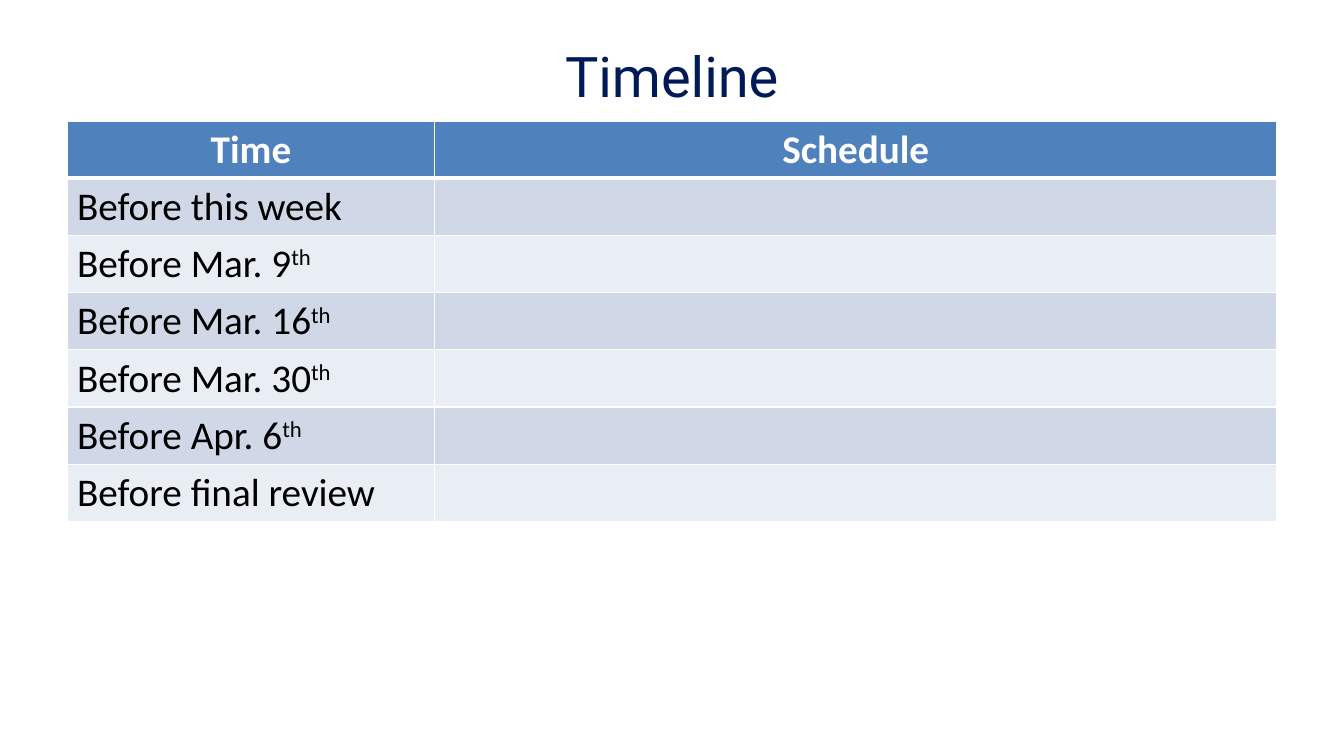
import dataclasses

import lxml.etree
import pptx
import pptx.dml.color
import pptx.enum.text
import pptx.oxml.ns
import pptx.util

Cm = pptx.util.Cm
Pt = pptx.util.Pt
Align = pptx.enum.text.PP_ALIGN
Anchor = pptx.enum.text.MSO_ANCHOR

COLORS = {
    "title": "001A57",
    "header": "4F81BD",
    "odd": "D0D8E8",
    "even": "E9EDF4",
    "white": "FFFFFF",
    "black": "000000",
}
LEFT, WIDTH = Cm(1.69), Cm(30.48)
TIME_WIDTH = Cm(9.27)
ROW_HEIGHT = Cm(1.44)


@dataclasses.dataclass(frozen=True)
class Milestone:
    time: str
    ordinal: str = ""


MILESTONES = [
    Milestone("Before this week"),
    Milestone("Before Mar. 9", "th"),
    Milestone("Before Mar. 16", "th"),
    Milestone("Before Mar. 30", "th"),
    Milestone("Before Apr. 6", "th"),
    Milestone("Before final review"),
]


def rgb(color: str) -> pptx.dml.color.RGBColor:
    return pptx.dml.color.RGBColor.from_string(COLORS[color])


def style_run(run, size: int, font: str, color: str, bold: bool = False) -> None:
    run.font.size = Pt(size)
    run.font.name = font
    run.font.bold = bold
    run.font.color.rgb = rgb(color)


def draw_borders(cell, top: int = 1, bottom: int = 1) -> None:
    properties = cell._tc.get_or_add_tcPr()
    sides = {"lnL": 1, "lnR": 1, "lnT": top, "lnB": bottom}
    for position, (side, points) in enumerate(sides.items()):
        line = lxml.etree.Element(pptx.oxml.ns.qn(f"a:{side}"), w=str(Pt(points)))
        fill = lxml.etree.SubElement(line, pptx.oxml.ns.qn("a:solidFill"))
        lxml.etree.SubElement(fill, pptx.oxml.ns.qn("a:srgbClr"), val=COLORS["white"])
        properties.insert(position, line)


def fill_cell(cell, color: str, top: int = 1, bottom: int = 1) -> None:
    cell.fill.solid()
    cell.fill.fore_color.rgb = rgb(color)
    cell.vertical_anchor = Anchor.MIDDLE
    draw_borders(cell, top, bottom)


def write_milestone(cell, milestone: Milestone) -> None:
    paragraph = cell.text_frame.paragraphs[0]
    paragraph.text = milestone.time
    if milestone.ordinal:
        ordinal = paragraph.add_run()
        ordinal.text = milestone.ordinal
        ordinal._r.get_or_add_rPr().set("baseline", "30000")
    for run in paragraph.runs:
        style_run(run, 28, "Calibri", "black")


presentation = pptx.Presentation()
presentation.slide_width = Cm(33.87)
presentation.slide_height = Cm(19.05)
slide = presentation.slides.add_slide(presentation.slide_layouts[6])

# Title
title = slide.shapes.add_textbox(LEFT, Cm(0.76), WIDTH, Cm(2.29)).text_frame
title.word_wrap = True
title.vertical_anchor = Anchor.MIDDLE
title.text = "Timeline"
title.paragraphs[0].alignment = Align.CENTER
style_run(title.paragraphs[0].runs[0], 40, "Roboto", "title")

# Schedule table
row_count = len(MILESTONES) + 1
schedule = slide.shapes.add_table(
    row_count, 2, LEFT, Cm(3.05), WIDTH, ROW_HEIGHT * row_count
).table
schedule.columns[0].width = TIME_WIDTH
schedule.columns[1].width = WIDTH - TIME_WIDTH

# Header row
for column, heading in enumerate(["Time", "Schedule"]):
    cell = schedule.cell(0, column)
    fill_cell(cell, "header", bottom=3)
    cell.text_frame.text = heading
    cell.text_frame.paragraphs[0].alignment = Align.CENTER
    style_run(cell.text_frame.paragraphs[0].runs[0], 28, "Calibri", "white", True)

# Milestone rows
for row, milestone in enumerate(MILESTONES, start=1):
    for column in range(2):
        fill_cell(schedule.cell(row, column), "odd" if row % 2 else "even",
                  top=3 if row == 1 else 1)
    write_milestone(schedule.cell(row, 0), milestone)

presentation.save("out.pptx")
